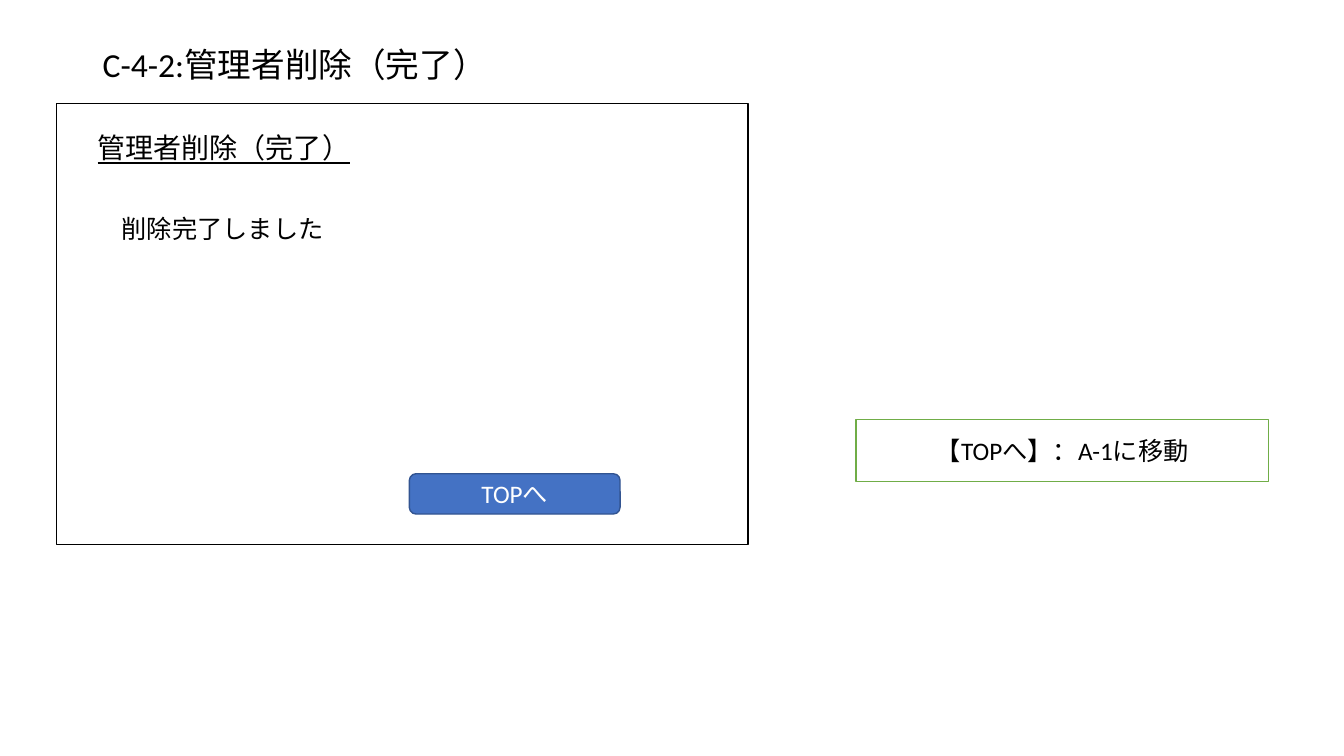
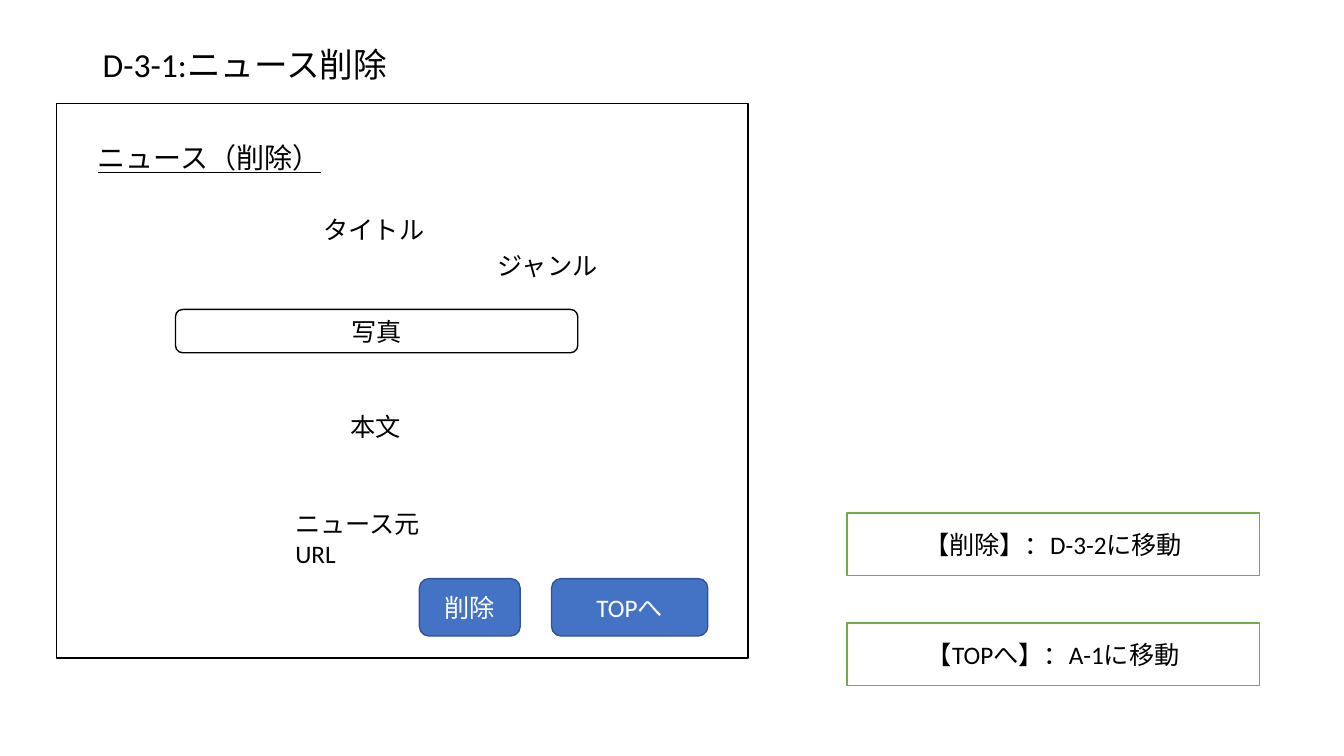
from pptx import Presentation
from pptx.dml.color import RGBColor
from pptx.enum.shapes import MSO_SHAPE
from pptx.enum.text import MSO_ANCHOR, MSO_AUTO_SIZE, PP_ALIGN
from pptx.util import Emu, Pt

RECTANGLE = MSO_SHAPE.RECTANGLE
ROUNDED = MSO_SHAPE.ROUNDED_RECTANGLE
MIDDLE = MSO_ANCHOR.MIDDLE
TOP = MSO_ANCHOR.TOP
GROW = MSO_AUTO_SIZE.SHAPE_TO_FIT_TEXT
CENTER = PP_ALIGN.CENTER
LEFT = PP_ALIGN.LEFT

PX = 9144  # EMU per px, 100 px to the inch
FONT = "Calibri"
COLORS = {
    "text": "000000",
    "paper": "FFFFFF",
    "button": "4472C4",
    "button_line": "325491",
    "note_line": "70AD47",
}


class Wireframe:
    """Holds the style and the current page of a screen design deck."""

    def __init__(self):
        self.deck = Presentation()
        self.deck.slide_width = Emu(1333 * PX)
        self.deck.slide_height = Emu(750 * PX)
        self.page = None

    def color(self, name):
        return RGBColor.from_string(COLORS[name])

    def add_text(self, box, text, size, color="text", align=LEFT,
                 underline=None):
        para = box.text_frame.paragraphs[0]
        para.alignment = align
        span = para.add_run()
        span.text = text
        span.font.name = FONT
        span.font.size = Pt(size)
        span.font.underline = underline
        span.font.color.rgb = self.color(color)
        return para

    # Page with its title and the frame of the screen
    def screen(self, title, frame_height):
        self.page = self.deck.slides.add_slide(self.deck.slide_layouts[6])
        box = self.text_box(92, 40, 1149, 52, MIDDLE)
        self.add_text(box, title, 24).line_spacing = 0.9
        self.panel(RECTANGLE, 56, 103, 686, frame_height)

    def text_box(self, left, top, width, height, anchor=TOP):
        box = self.page.shapes.add_textbox(
            *(Emu(px * PX) for px in (left, top, width, height)))
        box.text_frame.word_wrap = True
        box.text_frame.vertical_anchor = anchor
        return box

    def panel(self, kind, left, top, width, height, text="",
              fill="paper", line="text", color="text"):
        box = self.page.shapes.add_shape(
            kind, *(Emu(px * PX) for px in (left, top, width, height)))
        box.shadow.inherit = False
        box.fill.solid()
        box.fill.fore_color.rgb = self.color(fill)
        box.line.color.rgb = self.color(line)
        box.line.width = Pt(1)
        if text:
            box.text_frame.word_wrap = True
            box.text_frame.vertical_anchor = MIDDLE
            self.add_text(box, text, 18, color, CENTER)

    def heading(self, top, text):
        box = self.text_box(87, top, 300, 44)
        box.text_frame.auto_size = GROW
        self.add_text(box, text, 20, underline=True)

    def label(self, left, top, width, text):
        box = self.text_box(left, top, width, 40)
        box.text_frame.auto_size = GROW
        self.add_text(box, text, 18)

    def button(self, left, top, width, height, text):
        self.panel(ROUNDED, left, top, width, height, text,
                   "button", "button_line", "paper")

    def note(self, left, top, text):
        self.panel(RECTANGLE, left, top, 409, 62, text, line="note_line")


def main():
    wireframe = Wireframe()

    # Administrator deleted
    wireframe.screen("C-4-2:管理者削除（完了）", 437)
    wireframe.heading(125, "管理者削除（完了）")
    wireframe.label(111, 207, 366, "削除完了しました")
    wireframe.button(406, 470, 209, 40, "TOPへ")
    wireframe.note(849, 416, "【TOPへ】：A-1に移動")

    # Delete news
    wireframe.screen("D-3-1:ニュース削除", 550)
    wireframe.heading(134, "ニュース（削除）")
    for left, top, width, text in (
        (311, 208, 122, "タイトル"),
        (484, 243, 147, "ジャンル"),
        (338, 403, 70, "本文"),
        (283, 499, 181, "ニュース元URL"),
    ):
        wireframe.label(left, top, width, text)
    wireframe.panel(ROUNDED, 174, 307, 399, 43, "写真")
    for left, width, text in ((416, 100, "削除"), (547, 155, "TOPへ")):
        wireframe.button(left, 574, width, 57, text)
    for top, text in ((509, "【削除】：D-3-2に移動"),
                      (618, "【TOPへ】：A-1に移動")):
        wireframe.note(840, top, text)

    wireframe.deck.save("out.pptx")


if __name__ == "__main__":
    main()
